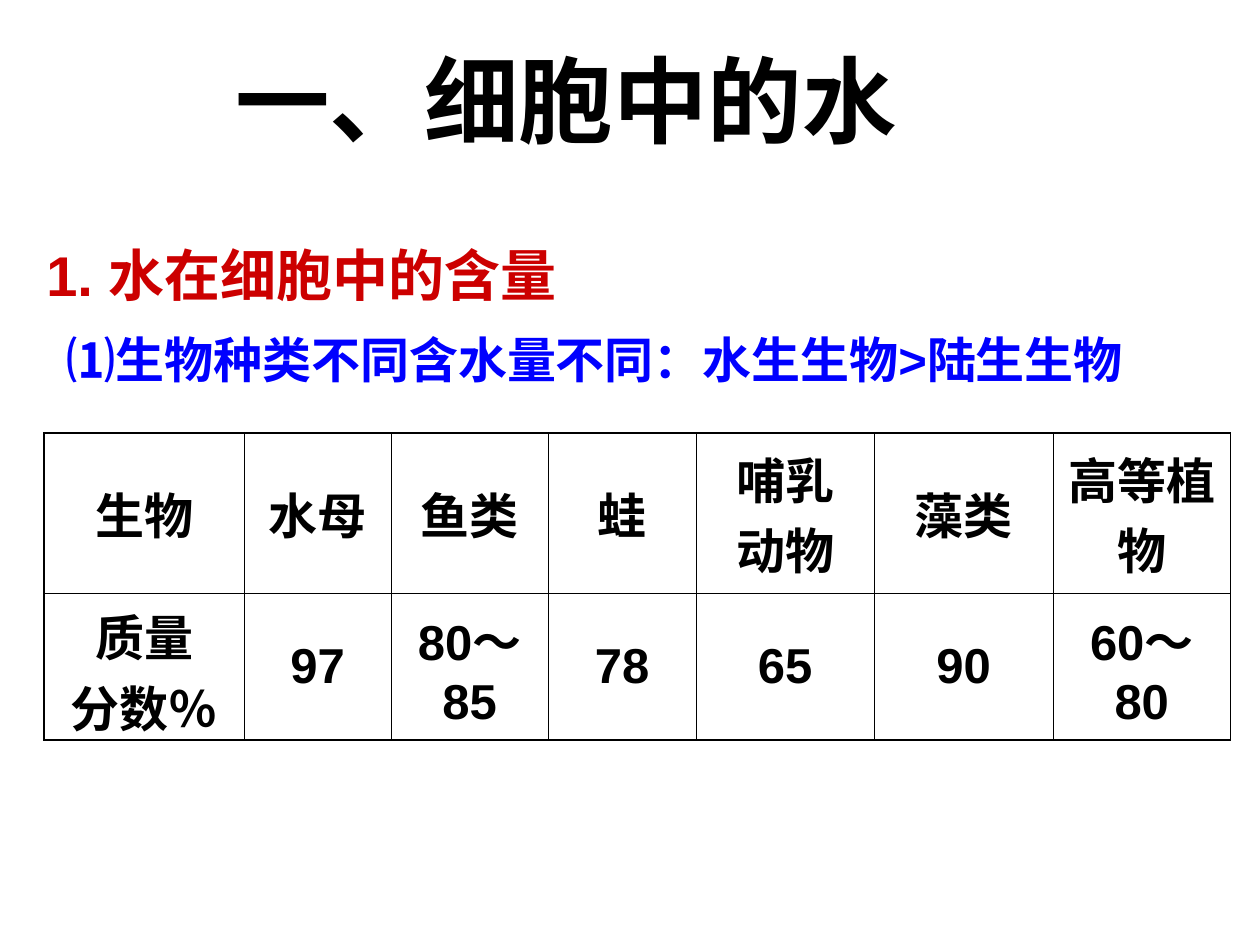
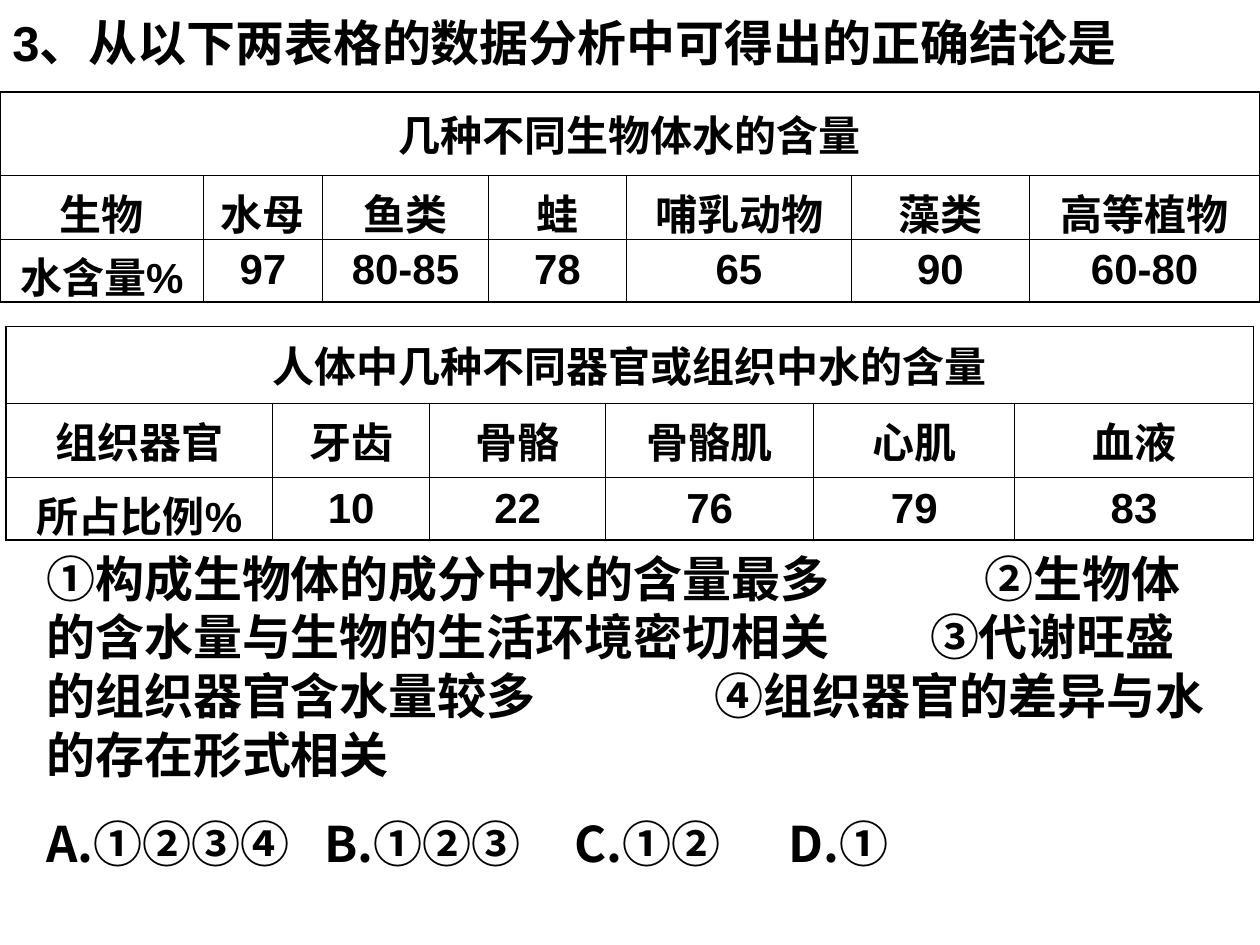
"""Build two lesson slides about the water in cells."""
from dataclasses import dataclass

from lxml import etree
from pptx import Presentation
from pptx import util as u
from pptx.dml.color import RGBColor
from pptx.enum import text
from pptx.oxml.ns import qn


@dataclass(frozen=True)
class Theme:
    ink: str = "000000"
    paper: str = "FFFFFF"
    red: str = "CC0000"
    blue: str = "0000FF"
    latin: str = "Arial"
    chinese: str = "Noto Sans CJK SC"
    title: float = 54
    heading: float = 32
    body: float = 28
    small: float = 24
    outer_line: float = 1.08
    inner_line: float = 0.45
    paragraph_gap: float = 17.5


class Deck:
    def __init__(self, theme):
        self.theme = theme
        self.presentation = Presentation()
        self.presentation.slide_width = u.Pt(720)
        self.presentation.slide_height = u.Pt(540)
        self.slide = None

    def new_slide(self):
        layout = self.presentation.slide_layouts[6]
        self.slide = self.presentation.slides.add_slide(layout)

    def style(self, paragraph, size, color=None, latin=None, tabs=()):
        properties = paragraph._p.get_or_add_pPr()
        if tabs:
            tab_list = etree.SubElement(properties, qn("a:tabLst"))
            for position in tabs:
                etree.SubElement(tab_list, qn("a:tab"), pos=str(u.Pt(position)), algn="l")
        font = paragraph.font
        font.size = u.Pt(size)
        font.bold = True
        font.color.rgb = RGBColor.from_string(color or self.theme.ink)
        font.name = latin or self.theme.latin
        default = properties.find(qn("a:defRPr"))
        etree.SubElement(default, qn("a:ea"), typeface=self.theme.chinese)

    def text_box(self, box, lines, size, color=None, latin=None, tabs=()):
        shape = self.slide.shapes.add_textbox(*map(u.Pt, box))
        frame = shape.text_frame
        frame.word_wrap = True
        frame.auto_size = text.MSO_AUTO_SIZE.SHAPE_TO_FIT_TEXT
        for index, line in enumerate(lines):
            paragraph = frame.paragraphs[0]
            if index:
                paragraph = frame.add_paragraph()
                paragraph.space_before = u.Pt(self.theme.paragraph_gap)
            paragraph.text = line
            self.style(paragraph, size, color, latin, tabs[index] if tabs else ())

    def borders(self, cell, outer_sides):
        properties = cell._tc.get_or_add_tcPr()
        for index, side in enumerate("LRTB"):
            width = self.theme.outer_line if side in outer_sides else self.theme.inner_line
            line = etree.Element(qn(f"a:ln{side}"), w=str(u.Pt(width)))
            fill = etree.SubElement(line, qn("a:solidFill"))
            etree.SubElement(fill, qn("a:srgbClr"), val=self.theme.ink)
            properties.insert(index, line)

    def table(self, left, top, widths, heights, rows, size, caption=None):
        row_count, column_count = len(heights), len(widths)
        frame = self.slide.shapes.add_table(
            row_count, column_count, u.Pt(left), u.Pt(top),
            u.Pt(sum(widths)), u.Pt(sum(heights)))
        table = frame.table
        table.first_row = table.horz_banding = False
        for column, width in zip(table.columns, widths):
            column.width = u.Pt(width)
        for row, height in zip(table.rows, heights):
            row.height = u.Pt(height)
        if caption:
            table.cell(0, 0).merge(table.cell(0, column_count - 1))
            rows = [[caption] + [""] * (column_count - 1), *rows]
        for r, values in enumerate(rows):
            for c, value in enumerate(values):
                cell = table.cell(r, c)
                cell.fill.solid()
                cell.fill.fore_color.rgb = RGBColor.from_string(self.theme.paper)
                cell.vertical_anchor = text.MSO_ANCHOR.MIDDLE
                right = c + (cell.span_width if cell.is_merge_origin else 1)
                edges = {"L": c == 0, "R": right == column_count,
                         "T": r == 0, "B": r == row_count - 1}
                self.borders(cell, [side for side, is_outer in edges.items() if is_outer])
                paragraph = cell.text_frame.paragraphs[0]
                paragraph.text = value
                paragraph.alignment = text.PP_ALIGN.CENTER
                self.style(paragraph, size)


def water_content_slide(deck):
    theme = deck.theme
    deck.new_slide()
    deck.text_box((127.4, 20.2, 516.2, 72), ["一、细胞中的水"], theme.title)
    deck.text_box((19.4, 133.9, 372.2, 46), ["1. 水在细胞中的含量"],
                  theme.heading, theme.red)
    deck.text_box((31, 185, 642.2, 74.9), ["⑴生物种类不同含水量不同：水生生物>陆生生物"],
                  theme.body, theme.blue)
    deck.table(25.2, 247.4, [114.3, 84, 89.7, 84.6, 101.7, 102.3, 101.4], [91.6, 84], [
        ["生物", "水母", "鱼类", "蛙", "哺乳\v动物", "藻类", "高等植物"],
        ["质量\v分数％", "97", "80～85", "78", "65", "90", "60～80"],
    ], theme.body)


def question_slide(deck):
    theme = deck.theme
    deck.new_slide()
    deck.table(3.6, 186.5, [152.3, 89.7, 100.6, 118.9, 114.9, 136.3], [43.8, 42.4, 36], [
        ["组织器官", "牙齿", "骨骼", "骨骼肌", "心肌", "血液"],
        ["所占比例%", "10", "22", "76", "79", "83"],
    ], theme.small, "人体中几种不同器官或组织中水的含量")
    deck.table(0, 52.6, [116.3, 68, 94.9, 78.9, 128.6, 101.7, 131.6], [47.6, 36.3, 36], [
        ["生物", "水母", "鱼类", "蛙", "哺乳动物", "藻类", "高等植物"],
        ["水含量%", "97", "80-85", "78", "65", "90", "60-80"],
    ], theme.small, "几种不同生物体水的含量")
    deck.text_box((0, 3.6, 655.2, 41), ["3、从以下两表格的数据分析中可得出的正确结论是"],
                  theme.body)
    statements = ("①构成生物体的成分中水的含量最多\t\t②生物体的含水量与生物的生活环境密切相关"
                  "\t③代谢旺盛的组织器官含水量较多\t④组织器官的差异与水的存在形式相关")
    options = "A.①②③④\tB.①②③\tC.①②\tD.①"
    deck.text_box((19.4, 309.6, 683.3, 193), [statements, options], theme.body,
                  latin=theme.chinese, tabs=[(382, 505, 536), (159, 302, 424)])


def main():
    deck = Deck(Theme())
    water_content_slide(deck)
    question_slide(deck)
    deck.presentation.save("out.pptx")


if __name__ == "__main__":
    main()
